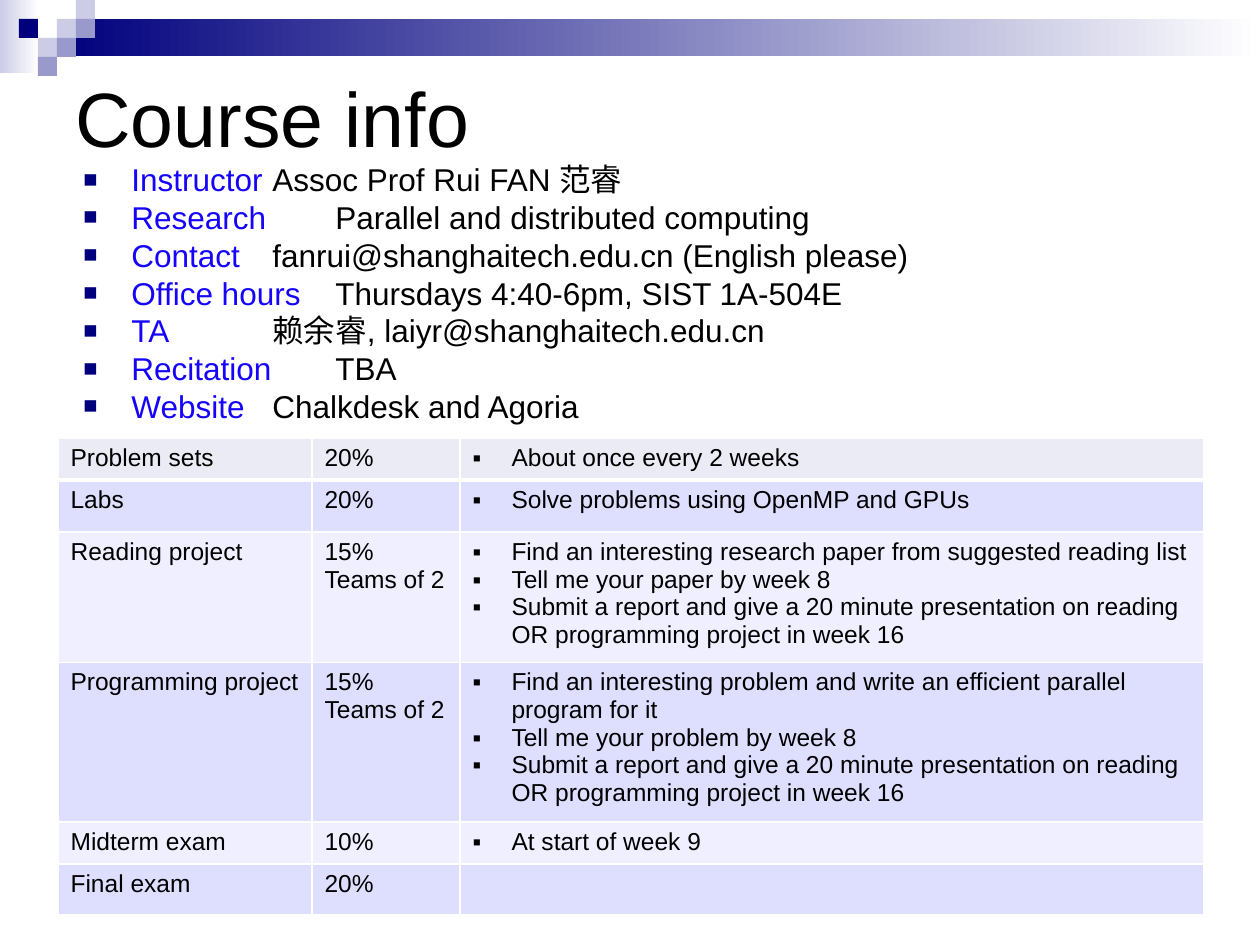
from lxml import etree
from pptx import Presentation
from pptx.dml.color import RGBColor
from pptx.enum.shapes import MSO_SHAPE
from pptx.enum.text import MSO_ANCHOR
from pptx.oxml.ns import qn
from pptx.util import Emu, Pt

RECTANGLE = MSO_SHAPE.RECTANGLE
MIDDLE = MSO_ANCHOR.MIDDLE

LATIN, CHINESE = "Arial", "Noto Sans CJK SC"
NAVY, LILAC, VIOLET = "00007D", "CCCCE6", "9999CC"
BLUE, BLACK, WHITE = "1503FB", "000000", "FFFFFF"
HEAD_FILL, BAND_FILLS = "EBEBF5", ("EFEFFF", "DEDEFF")

# Label, tabs after it, then the value as (text, font) runs
COURSE_FACTS = [
    ("Instructor ", 1, [("Assoc Prof Rui FAN ", LATIN), ("范睿", CHINESE)]),
    ("Research ", 1, [("Parallel and distributed computing", LATIN)]),
    ("Contact ", 1, [("fanrui@shanghaitech.edu.cn (English please)", LATIN)]),
    ("Office hours ", 1, [("Thursdays 4:40-6pm, SIST 1A-504E", LATIN)]),
    ("TA", 2, [("赖余睿", CHINESE), (", laiyr@shanghaitech.edu.cn", LATIN)]),
    ("Recitation ", 1, [("TBA", LATIN)]),
    ("Website ", 1, [("Chalkdesk and Agoria", LATIN)]),
]

REPORT = ("Submit a report and give a 20 minute presentation on reading "
          "OR programming project in week 16")
# Row height, component, weight lines, bulleted details
GRADING = [
    (41, "Problem sets", ["20%"], ["About once every 2 weeks"]),
    (52, "Labs", ["20%"], ["Solve problems using OpenMP and GPUs"]),
    (123, "Reading project", ["15%", "Teams of 2"],
     ["Find an interesting research paper from suggested reading list",
      "Tell me your paper by week 8", REPORT]),
    (150, "Programming project", ["15%", "Teams of 2"],
     ["Find an interesting problem and write an efficient parallel program for it",
      "Tell me your problem by week 8", REPORT]),
    (40, "Midterm exam", ["10%"], ["At start of week 9"]),
    (49, "Final exam", ["20%"], []),
]
GRADING_COLUMNS = (254, 148, 744)


def px(length):
    return Emu(round(length * 914400 / 126))


def colour(value):
    return RGBColor.from_string(value)


def add_span(para, text, size, value=BLACK, font=LATIN):
    span = para.add_run()
    span.text = text
    span.font.size = Pt(size)
    span.font.name = font
    span.font.color.rgb = colour(value)
    east_asian = etree.SubElement(span._r.get_or_add_rPr(), qn("a:ea"))
    east_asian.set("typeface", font)


def add_bullet(para, char, indent, value, percent):
    props = para._p.get_or_add_pPr()
    props.set("marL", str(px(indent)))
    props.set("indent", str(-px(indent)))
    bullet_colour = etree.SubElement(props, qn("a:buClr"))
    etree.SubElement(bullet_colour, qn("a:srgbClr")).set("val", value)
    etree.SubElement(props, qn("a:buSzPct")).set("val", str(percent * 1000))
    etree.SubElement(props, qn("a:buFont")).set("typeface", LATIN)
    etree.SubElement(props, qn("a:buChar")).set("char", char)


def next_para(frame, index):
    return frame.add_paragraph() if index else frame.paragraphs[0]


def add_text_box(page, left, top, width, height):
    box = page.shapes.add_textbox(px(left), px(top), px(width), px(height))
    box.text_frame.word_wrap = True
    return box.text_frame


def add_block(page, left, top, width, height, value, fade=False):
    block = page.shapes.add_shape(RECTANGLE, px(left), px(top), px(width), px(height))
    block.shadow.inherit = False
    block.line.fill.background()
    if not fade:
        block.fill.solid()
        block.fill.fore_color.rgb = colour(value)
        return
    block.fill.gradient()
    block.fill.gradient_angle = 0
    for stop, shade in zip(block.fill.gradient_stops, (value, WHITE)):
        stop.color.rgb = colour(shade)


def add_banner(page, left, top, width):
    unit = 19
    # Fading strips
    add_block(page, left, top, 39, 73, LILAC, fade=True)
    add_block(page, left + 3 * unit, top + unit, width - 3 * unit, 2 * unit - 1,
              NAVY, fade=True)
    # Checkered squares, by column and row
    for column, row, value in [(3, 1, LILAC), (4, 0, LILAC), (4, 1, VIOLET),
                               (2, 2, LILAC), (1, 1, NAVY), (3, 2, VIOLET),
                               (2, 3, VIOLET)]:
        add_block(page, left + column * unit, top + row * unit, unit, unit, value)


def add_title(page, left, top, width, height):
    frame = add_text_box(page, left, top, width, height)
    frame.vertical_anchor = MIDDLE
    add_span(frame.paragraphs[0], "Course info", 44)


def add_facts(page, left, top, width, height):
    frame = add_text_box(page, left, top, width, height)
    for index, (label, tabs, value) in enumerate(COURSE_FACTS):
        para = next_para(frame, index)
        add_bullet(para, "■", 48, NAVY, 75)
        para.line_spacing = Pt(21.6)
        add_span(para, label + "\t" * tabs, 18, BLUE)
        for text, font in value:
            add_span(para, text, 18, BLACK, font)


def style_cell(cell, fill, bottom_width):
    props = cell._tc.get_or_add_tcPr()
    for side, width in (("L", 1), ("R", 1), ("T", 1), ("B", bottom_width)):
        line = etree.SubElement(props, qn(f"a:ln{side}"), w=str(Pt(width)))
        solid = etree.SubElement(line, qn("a:solidFill"))
        etree.SubElement(solid, qn("a:srgbClr")).set("val", WHITE)
    cell.fill.solid()
    cell.fill.fore_color.rgb = colour(fill)


def add_grading(page, left, top):
    heights = [entry[0] for entry in GRADING]
    table = page.shapes.add_table(
        len(GRADING), len(GRADING_COLUMNS), px(left), px(top),
        px(sum(GRADING_COLUMNS)), px(sum(heights))).table
    table.first_row = table.horz_banding = False
    for column, width in zip(table.columns, GRADING_COLUMNS):
        column.width = px(width)
    for index, (height, component, weight, details) in enumerate(GRADING):
        table.rows[index].height = px(height)
        fill = BAND_FILLS[index % 2] if index else HEAD_FILL
        for column, lines in enumerate(([component], weight, details)):
            cell = table.cell(index, column)
            style_cell(cell, fill, 1 if index else 3)
            for number, text in enumerate(lines):
                para = next_para(cell.text_frame, number)
                if column == 2:
                    add_bullet(para, "▪", 39, BLACK, 100)
                add_span(para, text, 14)


def main():
    deck = Presentation()
    deck.slide_width, deck.slide_height = px(1260), px(945)
    page = deck.slides.add_slide(deck.slide_layouts[6])
    add_banner(page, 0, 0, 1260)
    add_title(page, 63, 63, 1134, 108)
    add_facts(page, 71, 154, 1138, 272)
    add_grading(page, 58, 438)
    deck.save("out.pptx")


if __name__ == "__main__":
    main()
